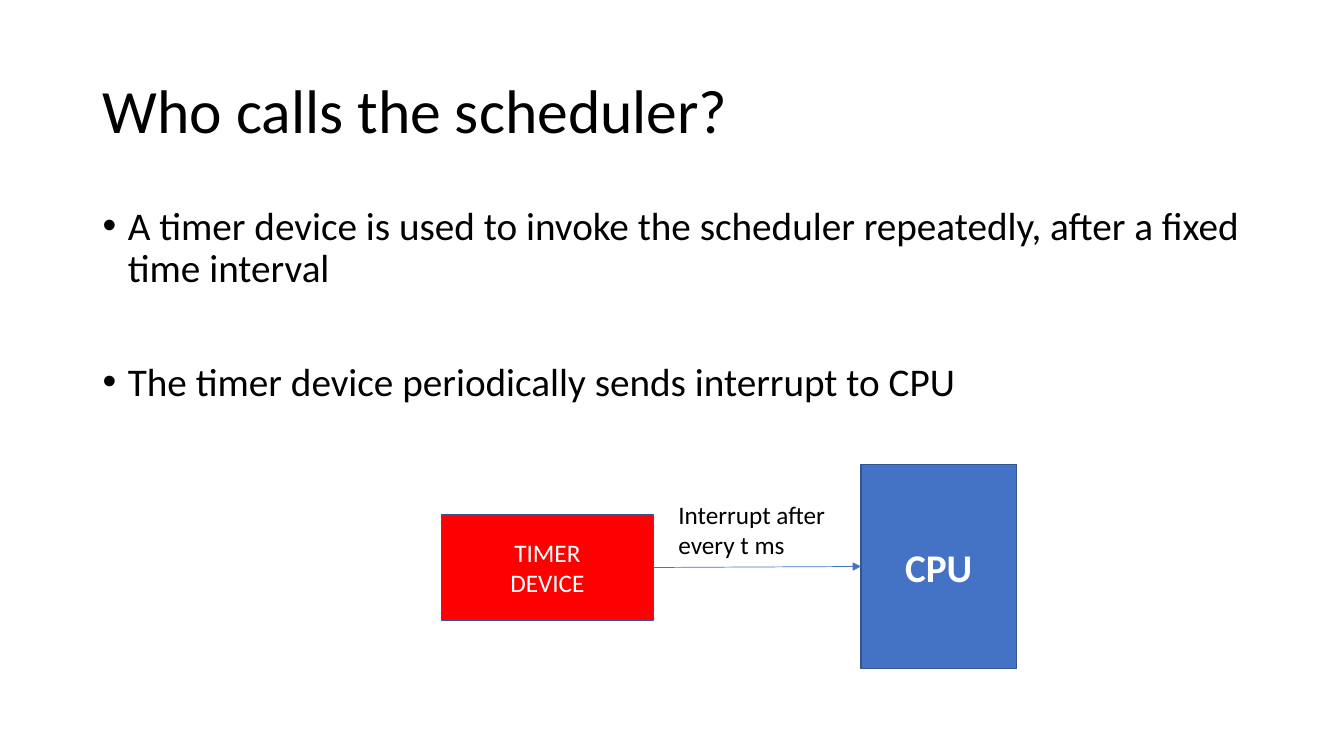
from dataclasses import dataclass

from lxml import etree
from pptx import Presentation
from pptx.dml.color import RGBColor
from pptx.enum.shapes import MSO_CONNECTOR as Connector, MSO_SHAPE as Shape
from pptx.enum.text import MSO_ANCHOR as Anchor, PP_ALIGN as Align
from pptx.oxml.ns import qn
from pptx.util import Inches, Pt

TITLE = ["Who calls the scheduler?"]
POINTS = [
    "A timer device is used to invoke the scheduler repeatedly, after a fixed time interval",
    "The timer device periodically sends interrupt to CPU",
]
CPU = ["CPU"]
TIMER = ["TIMER", "DEVICE"]
INTERRUPT = ["Interrupt after", "every t ms"]

TITLE_BOX = (0.92, 0.4, 11.5, 1.45)
POINTS_BOX = (0.92, 2, 11.5, 4.76)
CPU_BOX = (8.54, 4.61, 1.54, 2.02)
TIMER_BOX = (4.38, 5.11, 2.1, 1.04)
INTERRUPT_BOX = (6.63, 4.9, 2.05, 0.71)


@dataclass(frozen=True)
class Theme:
    font: str = "Calibri"
    ink: str = "000000"
    paper: str = "FFFFFF"
    cpu: str = "4472C4"
    timer: str = "FF0000"
    edge: str = "325491"
    title_size: int = 44
    body_size: int = 28
    label_size: int = 18
    point_gap: int = 51
    indent: float = 0.25


theme = Theme()


def rgb(code):
    return RGBColor.from_string(code)


def add_bullet(paragraph):
    props = paragraph._p.get_or_add_pPr()
    props.set("marL", str(Inches(theme.indent)))
    props.set("indent", str(Inches(-theme.indent)))
    etree.SubElement(props, qn("a:buFont")).set("typeface", "Arial")
    etree.SubElement(props, qn("a:buChar")).set("char", "•")


def write(frame, lines, size, color, bold=False, align=Align.LEFT,
          anchor=Anchor.TOP, spacing=None, gap=None, bullets=False):
    frame.word_wrap = True
    frame.vertical_anchor = anchor
    for number, line in enumerate(lines):
        paragraph = frame.add_paragraph() if number else frame.paragraphs[0]
        paragraph.text = line
        if bullets:
            add_bullet(paragraph)
        paragraph.alignment = align
        if spacing:
            paragraph.line_spacing = spacing
        if gap and number:
            paragraph.space_before = Pt(gap)
        font = paragraph.font
        font.name, font.size, font.bold = theme.font, Pt(size), bold
        font.color.rgb = rgb(color)


def add_text(slide, box, lines, size, **style):
    text = slide.shapes.add_textbox(*map(Inches, box))
    write(text.text_frame, lines, size, theme.ink, **style)


def add_device(slide, box, lines, fill, size, bold=False):
    device = slide.shapes.add_shape(Shape.RECTANGLE, *map(Inches, box))
    device.shadow.inherit = False
    device.fill.solid()
    device.fill.fore_color.rgb = rgb(fill)
    device.line.color.rgb = rgb(theme.edge)
    device.line.width = Pt(1)
    write(device.text_frame, lines, size, theme.paper, bold,
          Align.CENTER, Anchor.MIDDLE)
    return device


def add_signal(slide, source, target):
    signal = slide.shapes.add_connector(Connector.STRAIGHT, 0, 0, 0, 0)
    signal.begin_connect(source, 3)
    signal.end_connect(target, 1)
    signal.line.color.rgb = rgb(theme.cpu)
    signal.line.width = Pt(0.5)
    etree.SubElement(signal.line._get_or_add_ln(), qn("a:tailEnd")).set("type", "triangle")
    etree.SubElement(signal._element.spPr, qn("a:effectLst"))


def main():
    deck = Presentation()
    deck.slide_width, deck.slide_height = Inches(13.33), Inches(7.5)
    slide = deck.slides.add_slide(deck.slide_layouts[6])
    add_text(slide, TITLE_BOX, TITLE, theme.title_size, anchor=Anchor.MIDDLE, spacing=0.9)
    add_text(slide, POINTS_BOX, POINTS, theme.body_size, spacing=0.9,
             gap=theme.point_gap, bullets=True)
    cpu = add_device(slide, CPU_BOX, CPU, theme.cpu, theme.body_size, bold=True)
    timer = add_device(slide, TIMER_BOX, TIMER, theme.timer, theme.label_size)
    add_signal(slide, timer, cpu)
    add_text(slide, INTERRUPT_BOX, INTERRUPT, theme.label_size)
    deck.save("out.pptx")


if __name__ == "__main__":
    main()
